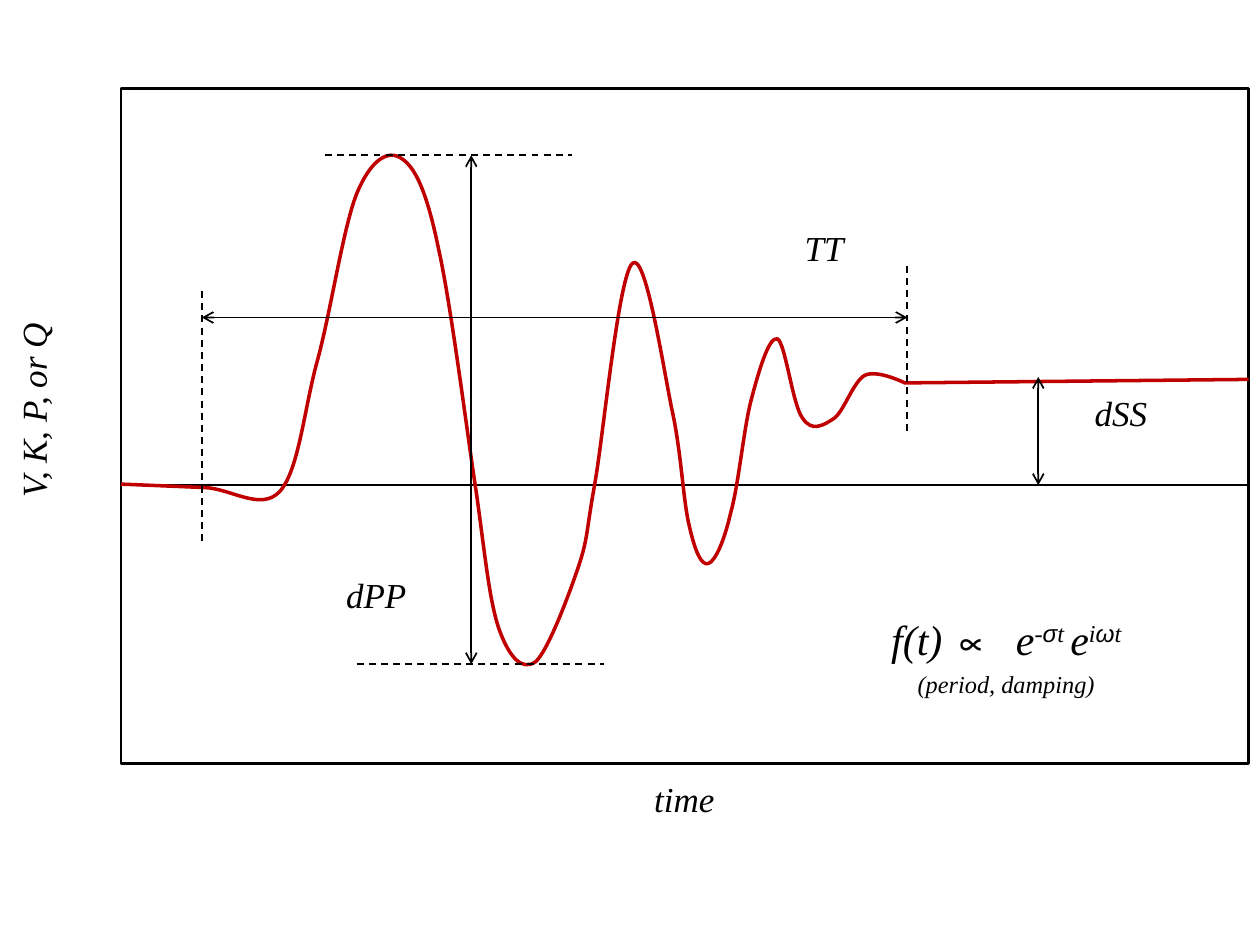
from dataclasses import dataclass

from lxml import etree
from pptx import Presentation
from pptx.dml.color import RGBColor
from pptx.enum.dml import MSO_LINE
from pptx.enum.shapes import MSO_CONNECTOR, MSO_SHAPE
from pptx.enum.text import MSO_ANCHOR, PP_ALIGN
from pptx.oxml.ns import qn
from pptx.util import Cm, Pt


@dataclass(frozen=True)
class Theme:
    ink: RGBColor = RGBColor(0, 0, 0)
    signal: RGBColor = RGBColor(0xC0, 0, 0)
    font: str = "Times New Roman"
    greek_font: str = "Arial"
    label_size: int = 20
    formula_size: int = 24
    thin: float = 1
    frame: float = 1.5
    curve: float = 2


THEME = Theme()

# Plot box on the slide; all other lengths are cm from its top left corner
LEFT, TOP, WIDTH, HEIGHT = 2.44, 1.78, 22.73, 13.61
BASELINE, STEADY = 8.0, 5.82
PEAK, TROUGH = 1.35, 11.61
START, END = 1.63, 15.85

# Response: straight lead-in, then control, control, end for each curve piece
LEAD_IN = [(0, 7.98), (1.7, 8.05)]
CURVES = [
    [(2.24, 8.08), (2.82, 8.53), (3.2, 8.13)],
    [(3.58, 7.7), (3.68, 6.55), (3.94, 5.56)],
    [(4.22, 4.57), (4.47, 2.84), (4.75, 2.13)],
    [(5.03, 1.45), (5.38, 1.22), (5.66, 1.42)],
    [(5.94, 1.6), (6.17, 2.11), (6.4, 3.23)],
    [(6.65, 4.34), (6.96, 6.83), (7.16, 8.13)],
    [(7.34, 9.4), (7.42, 10.31), (7.62, 10.9)],
    [(7.82, 11.46), (8.08, 11.76), (8.36, 11.56)],
    [(8.61, 11.33), (9.02, 10.24), (9.22, 9.65)],
    [(9.42, 9.04), (9.37, 8.99), (9.55, 7.98)],
    [(9.73, 6.96), (10.03, 3.78), (10.31, 3.53)],
    [(10.57, 3.28), (10.92, 5.56), (11.1, 6.45)],
    [(11.3, 7.34), (11.33, 8.33), (11.46, 8.84)],
    [(11.58, 9.37), (11.71, 9.63), (11.84, 9.58)],
    [(11.99, 9.53), (12.17, 9.09), (12.29, 8.56)],
    [(12.45, 8.0), (12.55, 6.88), (12.7, 6.3)],
    [(12.85, 5.72), (13.06, 5.0), (13.23, 5.05)],
    [(13.39, 5.11), (13.54, 6.4), (13.74, 6.65)],
    [(13.92, 6.93), (14.15, 6.81), (14.38, 6.65)],
    [(14.58, 6.5), (14.76, 5.92), (14.99, 5.79)],
    [(15.24, 5.66), (15.8, 5.94), (15.8, 5.94)],
]
TAIL = (WIDTH, 5.87)


def place(x, y):
    return Cm(LEFT + x), Cm(TOP + y)


def add_line(slide, start, end, dashed=False, arrows=False):
    line = slide.shapes.add_connector(
        MSO_CONNECTOR.STRAIGHT, *place(*start), *place(*end))
    line.line.color.rgb = THEME.ink
    line.line.width = Pt(THEME.thin)
    if dashed:
        line.line.dash_style = MSO_LINE.DASH
    if arrows:
        for end_tag in ("a:headEnd", "a:tailEnd"):
            etree.SubElement(line.line._get_or_add_ln(), qn(end_tag), type="arrow")
    etree.SubElement(line._element.spPr, qn("a:effectLst"))


def add_text(slide, box, paragraphs, size, anchor=MSO_ANCHOR.TOP, wrap=True):
    """Each paragraph is a list of (text, font, raised) runs."""
    x, y, width, height = box
    shape = slide.shapes.add_textbox(*place(x, y), Cm(width), Cm(height))
    frame = shape.text_frame
    frame.word_wrap = wrap
    frame.vertical_anchor = anchor
    frame.margin_left = frame.margin_right = 0
    frame.margin_top = frame.margin_bottom = 0
    for i, runs in enumerate(paragraphs):
        paragraph = frame.add_paragraph() if i else frame.paragraphs[0]
        paragraph.alignment = PP_ALIGN.CENTER
        for text, font, raised in runs:
            run = paragraph.add_run()
            run.text = text
            run.font.name = font
            run.font.size = Pt(size)
            run.font.italic = True
            run.font.color.rgb = THEME.ink
            if raised:
                run.font._element.set("baseline", "30000")
    return shape


def add_frame(slide):
    frame = slide.shapes.add_shape(
        MSO_SHAPE.RECTANGLE, *place(0, 0), Cm(WIDTH), Cm(HEIGHT))
    frame.shadow.inherit = False
    frame.fill.background()
    frame.line.color.rgb = THEME.ink
    frame.line.width = Pt(THEME.frame)
    add_line(slide, (0, BASELINE), (WIDTH, BASELINE))


def add_response(slide):
    # The builder fixes the box; its path is then filled with curves
    builder = slide.shapes.build_freeform(*place(0, PEAK))
    builder.add_line_segments([place(WIDTH, TROUGH)], close=False)
    shape = builder.convert_to_shape()
    shape.shadow.inherit = False
    shape.fill.background()
    shape.line.color.rgb = THEME.signal
    shape.line.width = Pt(THEME.curve)

    path = next(shape._element.iter(qn("a:path")))
    for child in list(path):
        path.remove(child)
    steps = [("a:moveTo", LEAD_IN[:1]), ("a:lnTo", LEAD_IN[1:])]
    steps += [("a:cubicBezTo", points) for points in CURVES]
    steps.append(("a:lnTo", [TAIL]))
    for tag, points in steps:
        step = etree.SubElement(path, qn(tag))
        for x, y in points:
            etree.SubElement(step, qn("a:pt"), x=str(int(Cm(x))),
                             y=str(int(Cm(y - PEAK))))


def add_measures(slide):
    # Dashed limits
    for x, y in ((4.11, PEAK), (4.75, TROUGH)):
        add_line(slide, (x, y), (x + 4.98, y), dashed=True)
    for x, top, bottom in ((END, 3.58, 6.91), (START, 4.09, 9.12)):
        add_line(slide, (x, top), (x, bottom), dashed=True)
    # Double arrows
    for start, end in (((18.49, STEADY), (18.49, BASELINE)),
                       ((7.06, PEAK), (7.06, TROUGH)),
                       ((END, 4.62), (START, 4.62))):
        add_line(slide, start, end, arrows=True)


def add_labels(slide):
    for text, x, y, width, rotation in (
            ("dSS", 18.87, 6.12, 2.57, 0),
            ("dPP", 3.86, 9.78, 2.57, 0),
            ("TT", 13.21, 2.79, 1.93, 0),
            ("time", 10.11, 13.89, 2.49, 0),
            ("V, K, P, or Q", -4.98, 5.69, 7.16, 270)):
        label = add_text(slide, (x, y, width, 1.6),
                         [[(text, THEME.font, False)]], THEME.label_size)
        label.rotation = rotation


def add_formula(slide):
    serif, greek = THEME.font, THEME.greek_font
    formula = [("f(t) ∝  e", serif, False), ("-", serif, True),
               ("σ", greek, True), ("t ", serif, True),
               ("e", serif, False), ("i", serif, True),
               ("ω", greek, True), ("t", serif, True)]
    caption = [("(period, damping)", serif, True)]
    add_text(slide, (13.49, 9.68, 8.71, 3.84), [formula, caption],
             THEME.formula_size, MSO_ANCHOR.MIDDLE, wrap=False)


prs = Presentation()
prs.slide_width, prs.slide_height = Cm(25.4), Cm(19.05)
slide = prs.slides.add_slide(prs.slide_layouts[6])
for add_part in (add_frame, add_response, add_measures, add_labels, add_formula):
    add_part(slide)
prs.save("out.pptx")
